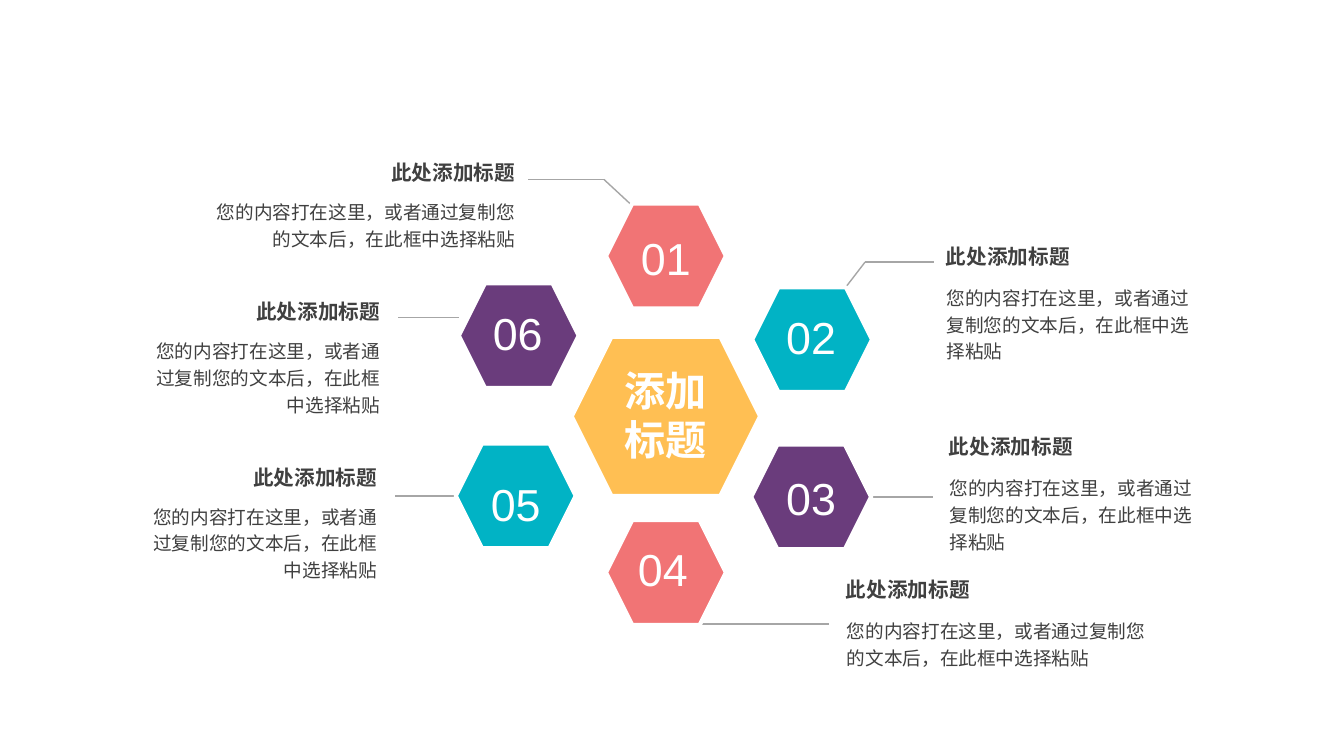
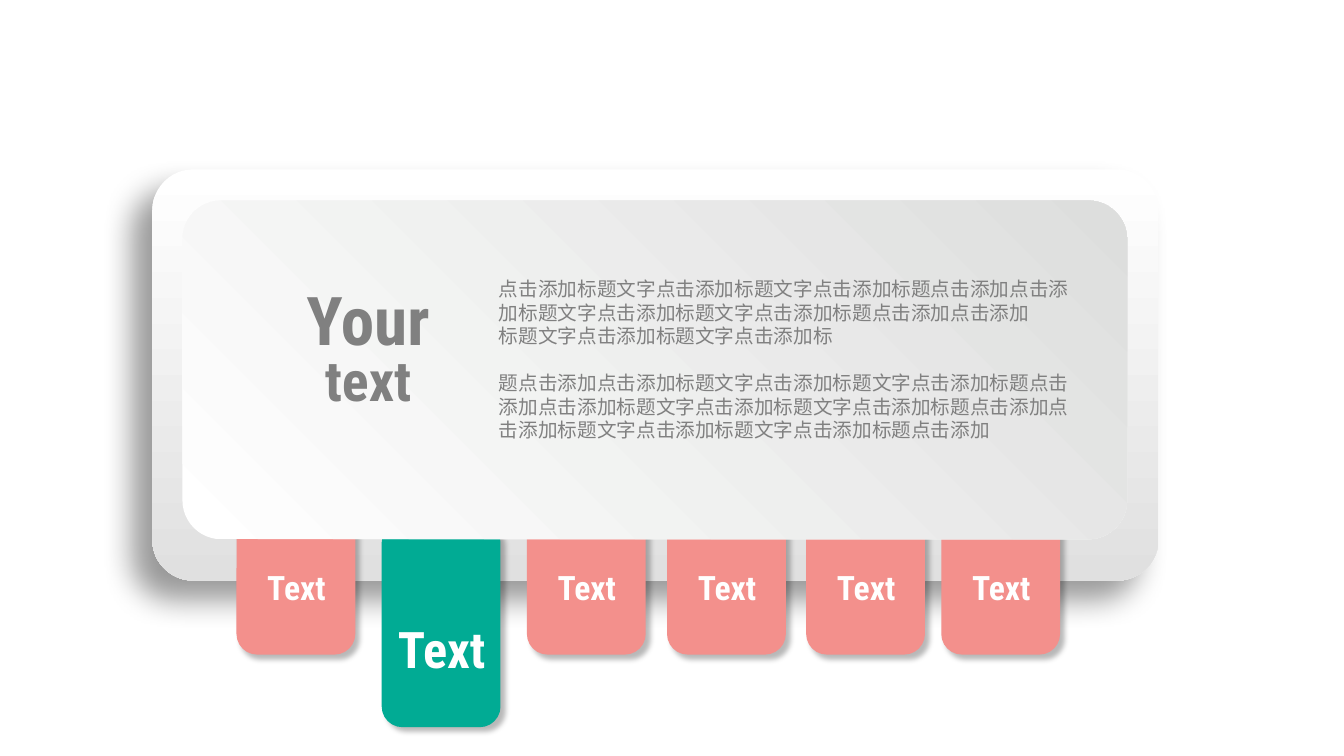
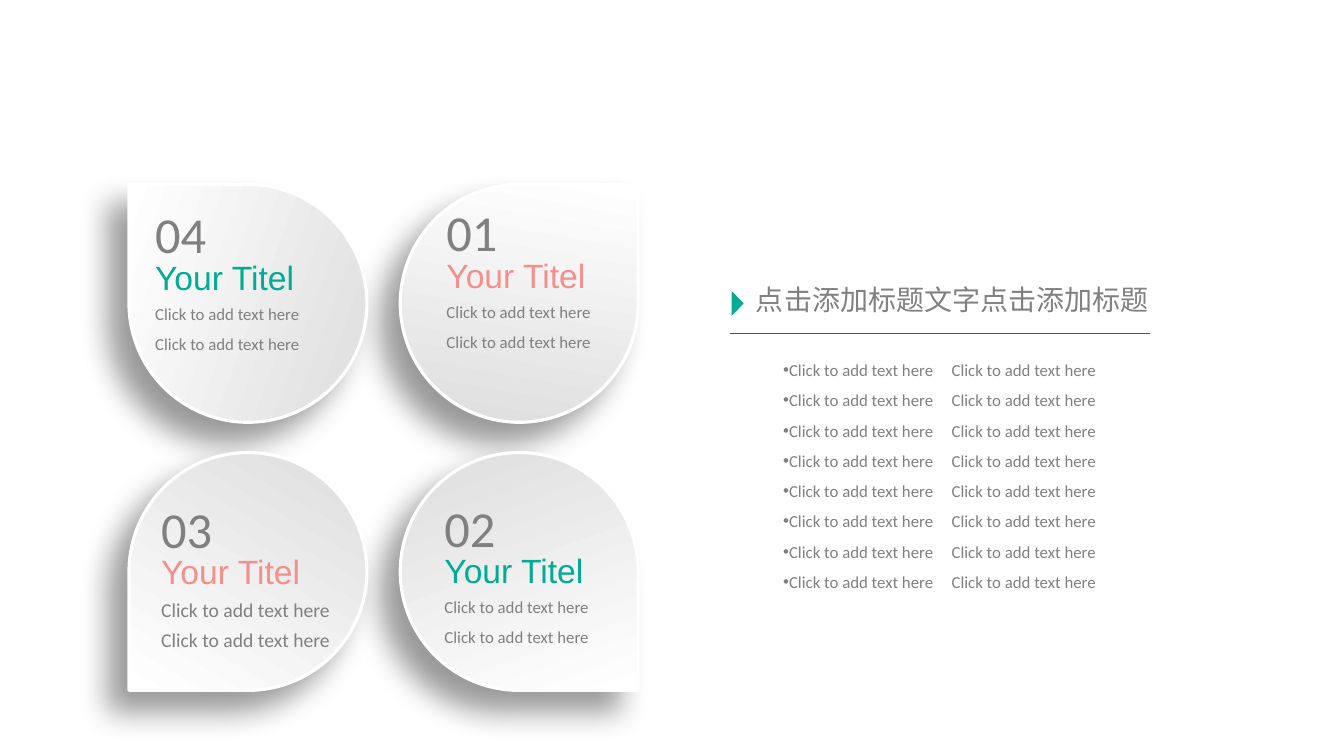
"""Build three infographic slides: hexagon ring, tabbed panel and teardrop grid."""
from lxml.etree import SubElement
from pptx import Presentation
from pptx.dml.color import RGBColor
from pptx.enum.shapes import MSO_CONNECTOR, MSO_SHAPE
from pptx.enum.text import MSO_AUTO_SIZE, PP_ALIGN
from pptx.oxml.ns import qn
from pptx.util import Emu, Pt

PX = 9144
WHITE = RGBColor(0xFF, 0xFF, 0xFF)
SILVER = RGBColor(0xDD, 0xDE, 0xDD)
LIGHT_GRAY = RGBColor(0xE0, 0xE0, 0xE0)
LINE_GRAY = RGBColor(0xA6, 0xA6, 0xA6)
GRAY = RGBColor(0x80, 0x80, 0x80)
DARK = RGBColor(0x40, 0x40, 0x40)
SLATE = RGBColor(0x44, 0x54, 0x6A)
CORAL = RGBColor(0xF1, 0x74, 0x75)
CYAN = RGBColor(0x01, 0xB3, 0xC5)
PURPLE = RGBColor(0x6A, 0x3C, 0x7C)
AMBER = RGBColor(0xFF, 0xBF, 0x53)
SALMON = RGBColor(0xF3, 0x90, 0x8C)
GREEN = RGBColor(0x01, 0xAB, 0x94)
CJK = "Noto Sans CJK SC"
CONDENSED = "Roboto Condensed"
PANEL_SHADOW = (40, 22, 20, 135)
TAB_SHADOW = (27, 4, 4, 45)


def add_text(slide, box, paragraphs, font, color, bold=False, align=PP_ALIGN.LEFT,
             spacing=None, wrap=True, inset=10):
    """Add a text box whose paragraphs are lists of (text, size) runs."""
    frame = slide.shapes.add_textbox(*[Emu(value * PX) for value in box]).text_frame
    frame.word_wrap = wrap
    frame.auto_size = MSO_AUTO_SIZE.SHAPE_TO_FIT_TEXT
    frame.margin_left = frame.margin_right = Emu(inset * PX)
    for index, runs in enumerate(paragraphs):
        paragraph = frame.add_paragraph() if index else frame.paragraphs[0]
        paragraph.alignment = align
        paragraph.line_spacing = spacing
        for text, size in runs:
            run = paragraph.add_run()
            run.text = text
            run.font.size = Pt(size)
            run.font.name = font
            run.font.bold = bold
            run.font.color.rgb = color
            SubElement(run.font._element, qn("a:ea"), typeface=font)
    return frame.paragraphs


def add_shape(slide, kind, box, fill, line=None, width=0, angle=None, shadow=None):
    """Add a preset shape, solid or with a white gradient running at a clockwise angle."""
    shape = slide.shapes.add_shape(kind, *[Emu(value * PX) for value in box])
    shape.shadow.inherit = False
    if angle is None:
        shape.fill.solid()
        shape.fill.fore_color.rgb = fill
    else:
        shape.fill.gradient()
        shape.fill.gradient_angle = 360 - angle
        for stop, color, position in zip(shape.fill.gradient_stops, (WHITE, fill), (0, 1)):
            stop.color.rgb = color
            stop.position = position
    if line is None:
        shape.line.fill.background()
    else:
        shape.line.color.rgb = line
        shape.line.width = Pt(width)
    if shadow:
        alpha, blur, distance, direction = shadow
        effects = shape.element.spPr.find(qn("a:effectLst"))
        outer = SubElement(effects, qn("a:outerShdw"), blurRad=str(Pt(blur)),
                           dist=str(Pt(distance)), dir=str(direction * 60000), rotWithShape="0")
        black = SubElement(outer, qn("a:srgbClr"), val="000000")
        SubElement(black, qn("a:alpha"), val=str(alpha * 1000))
    return shape


presentation = Presentation()
presentation.slide_width = Emu(1333 * PX)
presentation.slide_height = Emu(750 * PX)
blank = presentation.slide_layouts[6]
ring, panel, grid = [presentation.slides.add_slide(blank) for _ in range(3)]

connectors = [
    (ring, 925, 493, 864, 493, LINE_GRAY, 1),
    (ring, 694, 619, 822, 619, LINE_GRAY, 1),
    (ring, 452, 492, 392, 492, LINE_GRAY, 1),
    (ring, 455, 315, 395, 315, LINE_GRAY, 1),
    (ring, 627, 204, 599, 178, LINE_GRAY, 1),
    (ring, 599, 178, 524, 178, LINE_GRAY, 1),
    (ring, 838, 286, 858, 260, LINE_GRAY, 1),
    (ring, 858, 260, 926, 260, LINE_GRAY, 1),
    (grid, 724, 331, 1141, 331, SLATE, 0.75),
]
for slide, *ends, color, width in connectors:
    connector = slide.shapes.add_connector(
        MSO_CONNECTOR.STRAIGHT, *[Emu(value * PX) for value in ends])
    connector.line.color.rgb = color
    connector.line.width = Pt(width)
    SubElement(connector.element.spPr, qn("a:effectLst"))

hexagons = [
    ("01", 601, 202, CORAL, 620, 224),
    ("02", 746, 285, CYAN, 764, 302),
    ("03", 745, 441, PURPLE, 764, 462),
    ("04", 601, 516, CORAL, 617, 533),
    ("05", 452, 440, CYAN, 471, 468),
    ("06", 455, 281, PURPLE, 473, 298),
]
for number, left, top, color, text_left, text_top in hexagons:
    add_shape(ring, MSO_SHAPE.HEXAGON, (left, top, 119, 104), color, WHITE, 3)
    add_text(ring, (text_left, text_top, 81, 64), [[(number, 32)]], "Arial", WHITE,
             align=PP_ALIGN.CENTER)
add_shape(ring, MSO_SHAPE.HEXAGON, (567, 334, 187, 158), AMBER, WHITE, 3)
add_text(ring, (603, 357, 115, 109), [[("添加标题", 29.4)]], CJK, WHITE, True,
         PP_ALIGN.CENTER, Pt(35.5))

captions = [
    (360, 154, 194, 190, 326, PP_ALIGN.RIGHT),
    (226, 292, 137, 328, 249, PP_ALIGN.RIGHT),
    (223, 456, 134, 492, 249, PP_ALIGN.RIGHT),
    (929, 237, 930, 275, 266, PP_ALIGN.LEFT),
    (932, 426, 933, 464, 266, PP_ALIGN.LEFT),
    (830, 568, 831, 606, 321, PP_ALIGN.LEFT),
]
for title_left, title_top, left, top, width, align in captions:
    add_text(ring, (title_left, title_top, 160, 34), [[("此处添加标题", 14.7)]], CJK, DARK,
             True, align, Pt(17.6), True, 9)
    add_text(ring, (left, top, width, 63),
             [[("您的内容打在这里，或者通过复制您的文本后，在此框中选择粘贴", 13.3)]],
             CJK, DARK, False, align, Pt(19.2), True, 9)

frame_shape = add_shape(panel, MSO_SHAPE.ROUNDED_RECTANGLE, (151, 168, 998, 408), LIGHT_GRAY,
                        angle=90, shadow=PANEL_SHADOW)
frame_shape.adjustments[0] = 0.1
tabs = [(left, 447, 565, 24, SALMON) for left in (236, 524, 663, 801, 935)]
tabs.insert(1, (380, 519, 620, 36, GREEN))
for left, top, text_top, size, color in tabs:
    add_shape(panel, MSO_SHAPE.ROUNDED_RECTANGLE, (left, top, 115, 201), color, color, 2,
              shadow=TAB_SHADOW)
inner_shape = add_shape(panel, MSO_SHAPE.ROUNDED_RECTANGLE, (181, 199, 937, 336), SILVER,
                        angle=315)
inner_shape.adjustments[0] = 0.115
add_text(panel, (274, 287, 182, 166), [[("Your", 48), (" text", 40)]], CONDENSED, GRAY, True,
         PP_ALIGN.CENTER, 0.8)
body = [
    "点击添加标题文字点击添加标题文字点击添加标题点击添加点击添加标题文字点击添加标题文字点击添加标题点击添加点击添加",
    "标题文字点击添加标题文字点击添加标",
    "题点击添加点击添加标题文字点击添加标题文字点击添加标题点击添加点击添加标题文字点击添加标题文字"
    "点击添加标题点击添加点击添加标题文字点击添加标题文字点击添加标题点击添加",
]
body_paragraphs = add_text(panel, (485, 270, 592, 222), [[(text, 14)] for text in body],
                           CJK, GRAY, spacing=Pt(16.8))
body_paragraphs[2].space_before = Pt(16.8)
for left, top, text_top, size, color in tabs:
    add_text(panel, (left - 8, text_top, 132, 55), [[("Text", size)]], CONDENSED, WHITE, True,
             PP_ALIGN.CENTER, 0.8)

CLICK = "Click to add text here"
petals = [
    ("01", 397, 183, 100, (), 433, 195, SALMON, 12),
    ("04", 128, 183, 160, ("flipH",), 144, 197, GREEN, 12),
    ("02", 397, 449, 110, ("flipV",), 431, 488, GREEN, 12),
    ("03", 128, 449, 120, ("flipH", "flipV"), 150, 489, SALMON, 14),
]
for number, left, top, angle, flips, text_left, text_top, color, size in petals:
    petal = add_shape(grid, MSO_SHAPE.TEAR, (left, top, 236, 236), SILVER, WHITE, 2.25,
                      angle, PANEL_SHADOW)
    for flip in flips:
        petal.element.spPr.get_or_add_xfrm().set(flip, "1")
for number, left, top, angle, flips, text_left, text_top, color, size in petals:
    add_text(grid, (text_left, text_top, 76, 71), [[(number, 36)]], "Calibri", GRAY, wrap=False)
    add_text(grid, (text_left, text_top + 53, 159, 50), [[("Your Titel", 24)]], "Arial", color,
             wrap=False)
    for offset in (99, 129):
        add_text(grid, (text_left, text_top + offset, 15 * size - 2, 30), [[(CLICK, size)]],
                 "Calibri", GRAY, wrap=False)

add_text(grid, (740, 273, 420, 44), [[("点击添加标题文字点击添加标题", 20)]], CJK, GRAY,
         spacing=Pt(26))
marker = add_shape(grid, MSO_SHAPE.ISOSCELES_TRIANGLE, (719, 295, 25, 12), GREEN)
marker.rotation = 90
bullets = add_text(grid, (717, 342, 524, 252), [[(f"{CLICK}\t{CLICK}", 12)]] * 8, "Calibri",
                   GRAY, spacing=1.5)
for paragraph in bullets:
    properties = paragraph._p.get_or_add_pPr()
    properties.set("marL", "0")
    properties.set("indent", str(50 * PX))
    SubElement(properties, qn("a:buFont"), typeface="Arial")
    SubElement(properties, qn("a:buChar"), char="•")
    stops = SubElement(properties, qn("a:tabLst"))
    SubElement(stops, qn("a:tab"), pos=str(217 * PX), algn="l")

presentation.save("out.pptx")
